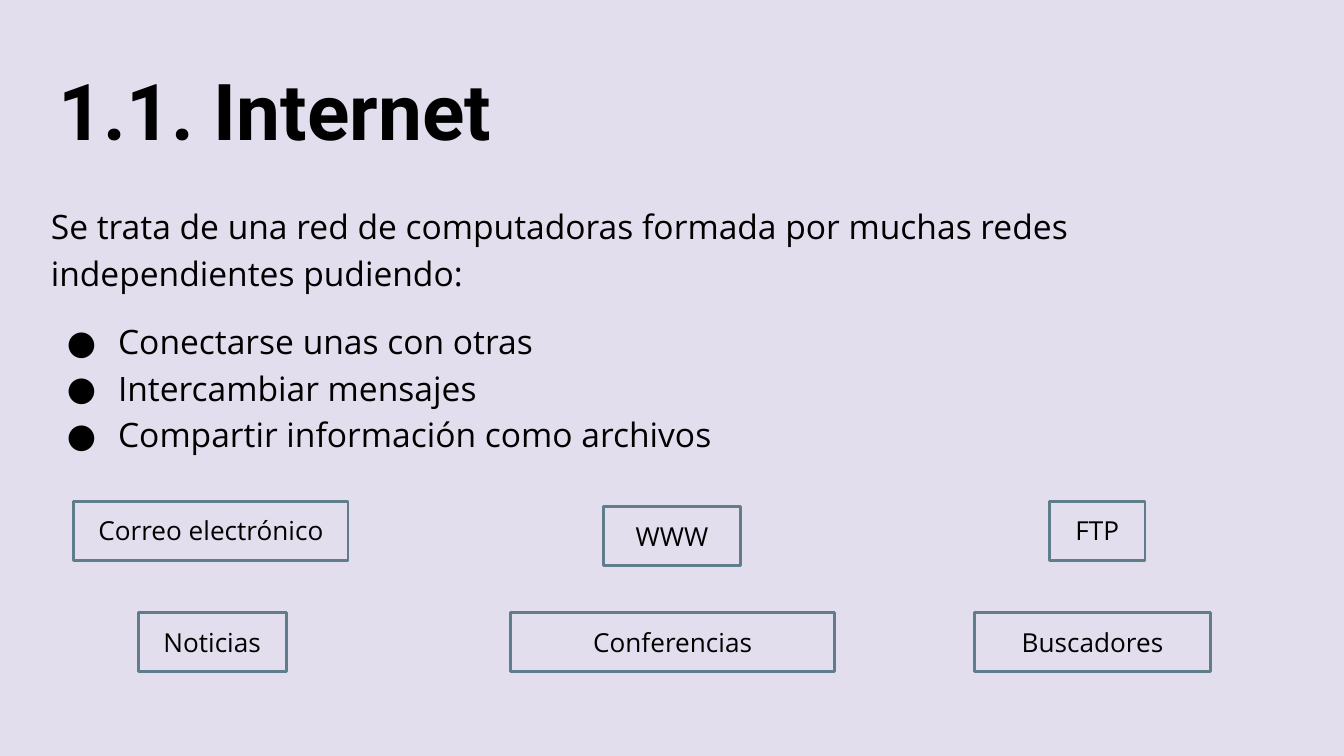
from lxml import etree
from pptx import Presentation
from pptx.dml.color import RGBColor
from pptx.enum.shapes import MSO_SHAPE
from pptx.enum.text import MSO_ANCHOR, MSO_AUTO_SIZE, PP_ALIGN
from pptx.oxml.ns import qn
from pptx.util import Inches, Pt

COLORS = {"background": "E3DEEE", "text": "000000", "border": "607D8B"}
FONT = "Open Sans"
BODY_SIZE = 18
INTRO = ("Se trata de una red de computadoras formada por muchas redes "
         "independientes pudiendo:")
USES = ["Conectarse unas con otras", "Intercambiar mensajes",
        "Compartir información como archivos"]
# Label, left, top, width
SERVICES = [
    ("Correo electrónico", 0.55, 3.73, 2.04),
    ("WWW", 4.49, 3.77, 1.02),
    ("FTP", 7.81, 3.73, 0.71),
    ("Buscadores", 7.25, 4.56, 1.76),
    ("Noticias", 1.03, 4.56, 1.1),
    ("Conferencias", 3.8, 4.56, 2.41),
]
BOX_HEIGHT = 0.44


def rgb(name):
    return RGBColor.from_string(COLORS[name])


def set_frame(tf, anchor=MSO_ANCHOR.TOP):
    tf.word_wrap = True
    tf.vertical_anchor = anchor
    tf.margin_left = tf.margin_right = Inches(0.1)
    tf.margin_top = tf.margin_bottom = Inches(0.1)


def write(p, text, size, font=FONT, bold=False):
    p.text = text
    p.font.size = Pt(size)
    p.font.name = font
    p.font.bold = bold
    p.font.color.rgb = rgb("text")


def add_bullet(p):
    pPr = p._p.get_or_add_pPr()
    pPr.set("marL", str(Inches(0.5)))
    pPr.set("indent", str(Inches(-0.38)))
    color = etree.Element(qn("a:buClr"))
    etree.SubElement(color, qn("a:srgbClr"), val=COLORS["text"])
    size = etree.Element(qn("a:buSzPts"), val=str(BODY_SIZE * 100))
    font = etree.Element(qn("a:buFont"), typeface=FONT)
    char = etree.Element(qn("a:buChar"), char="●")
    # Bullets come before the default run properties
    defaults = pPr.find(qn("a:defRPr"))
    for part in (color, size, font, char):
        defaults.addprevious(part)


def add_title(s, text):
    tf = s.shapes.add_textbox(Inches(0.34), Inches(0.35),
                              Inches(9.32), Inches(0.91)).text_frame
    set_frame(tf, MSO_ANCHOR.BOTTOM)
    write(tf.paragraphs[0], text, 42, "Roboto", True)


def add_body(s, intro, items):
    tf = s.shapes.add_textbox(Inches(0.28), Inches(1.39),
                              Inches(9.32), Inches(3.67)).text_frame
    set_frame(tf)
    for i, text in enumerate([intro] + items):
        p = tf.add_paragraph() if i else tf.paragraphs[0]
        write(p, text, BODY_SIZE)
        p.line_spacing = 1.15
        p.space_before = Pt(12 if i == 1 else 0)
        if i:
            add_bullet(p)


def add_service(s, label, left, top, width):
    sp = s.shapes.add_shape(MSO_SHAPE.RECTANGLE, Inches(left), Inches(top),
                            Inches(width), Inches(BOX_HEIGHT))
    sp.shadow.inherit = False
    sp.fill.background()
    sp.line.color.rgb = rgb("border")
    sp.line.width = Pt(1.5)
    tf = sp.text_frame
    set_frame(tf)
    tf.auto_size = MSO_AUTO_SIZE.SHAPE_TO_FIT_TEXT
    p = tf.paragraphs[0]
    write(p, label, 14)
    p.alignment = PP_ALIGN.CENTER


def main():
    prs = Presentation()
    # Widescreen, 16:9
    prs.slide_width = Inches(10)
    prs.slide_height = prs.slide_width * 9 // 16
    s = prs.slides.add_slide(prs.slide_layouts[6])
    s.background.fill.solid()
    s.background.fill.fore_color.rgb = rgb("background")

    # Title and description
    add_title(s, "1.1. Internet")
    add_body(s, INTRO, USES)

    # Internet services
    for service in SERVICES:
        add_service(s, *service)

    prs.save("out.pptx")


if __name__ == "__main__":
    main()
